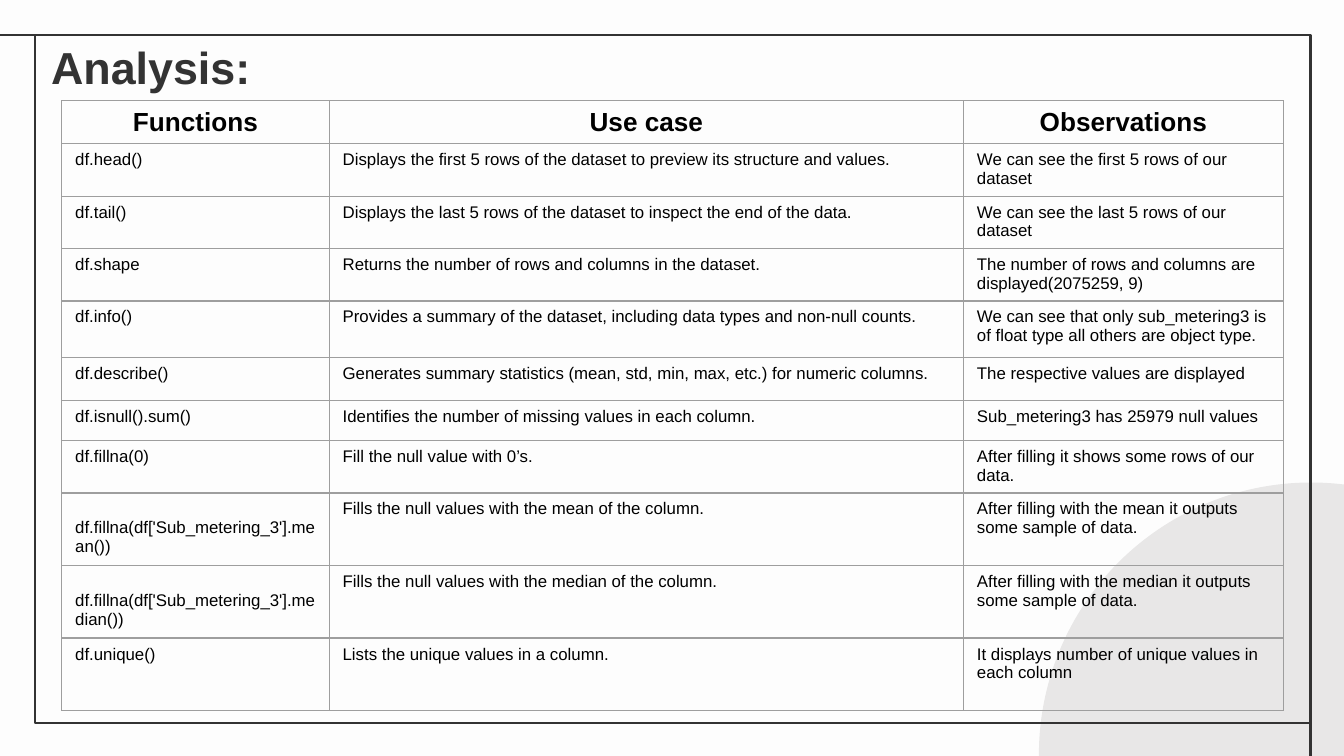
from dataclasses import dataclass

from lxml.etree import SubElement
from pptx import Presentation
from pptx.dml.color import RGBColor
from pptx.enum.shapes import MSO_CONNECTOR, MSO_SHAPE
from pptx.enum.text import MSO_ANCHOR, PP_ALIGN
from pptx.oxml.ns import qn
from pptx.slide import Slide
from pptx.table import _Cell
from pptx.util import Inches, Pt


@dataclass(frozen=True)
class Theme:
    font: str = "Arial"
    background: str = "FDFDFD"
    ink: str = "333333"
    text: str = "000000"
    disc: str = "E8E7E7"
    grid: str = "9E9E9E"
    title_size: float = 24
    header_size: float = 14
    body_size: float = 9
    frame_width: float = 1.5
    grid_width: float = 0.75


@dataclass(frozen=True)
class TableRow:
    function: str
    use_case: str
    observation: str
    height: float = 0.39
    drop: float = 0  # extra space above the function name

    @property
    def texts(self) -> tuple[str, str, str]:
        return self.function, self.use_case, self.observation


THEME = Theme()
SLIDE_W = 10
SLIDE_H = SLIDE_W * 9 / 16
COLUMN_WIDTHS = (1.99, 4.72, 2.38)
TABLE_LEFT, TABLE_TOP = 0.46, 0.75
LINE_HEIGHT = 0.14

ROWS = [
    TableRow("Functions", "Use case", "Observations", 0.32),
    TableRow("df.head()",
             "Displays the first 5 rows of the dataset to preview its structure and values.",
             "We can see the first 5 rows of our dataset"),
    TableRow("df.tail()",
             "Displays the last 5 rows of the dataset to inspect the end of the data.",
             "We can see the last 5 rows of our dataset"),
    TableRow("df.shape",
             "Returns the number of rows and columns in the dataset.",
             "The number of rows and columns are displayed(2075259, 9)"),
    TableRow("df.info()",
             "Provides a summary of the dataset, including data types and non-null counts.",
             "We can see that only sub_metering3 is of float type all others are object type.",
             0.42),
    TableRow("df.describe()",
             "Generates summary statistics (mean, std, min, max, etc.) for numeric columns.",
             "The respective values are displayed", 0.32),
    TableRow("df.isnull().sum()",
             "Identifies the number of missing values in each column.",
             "Sub_metering3 has 25979 null values", 0.3),
    TableRow("df.fillna(0)", "Fill the null value with 0’s.",
             "After filling it shows some rows of our data."),
    TableRow("df.fillna(df['Sub_metering_3'].mean())",
             "Fills the null values with the mean of the column.",
             "After filling with the mean it outputs some sample of data.",
             0.54, LINE_HEIGHT),
    TableRow("df.fillna(df['Sub_metering_3'].median())",
             "Fills the null values with the median of the column.",
             "After filling with the median it outputs some sample of data.",
             0.54, LINE_HEIGHT),
    TableRow("df.unique()", "Lists the unique values in a column.",
             "It displays number of unique values in each column", 0.54),
]


def rgb(value: str) -> RGBColor:
    return RGBColor.from_string(value)


def write(p, text: str, size: float, color: str, bold: bool, align: PP_ALIGN) -> None:
    p.alignment = align
    r = p.add_run()
    r.text = text
    for name, value in {"name": THEME.font, "size": Pt(size), "bold": bold}.items():
        setattr(r.font, name, value)
    r.font.color.rgb = rgb(color)


def style_line(line) -> None:
    line.color.rgb = rgb(THEME.ink)
    line.width = Pt(THEME.frame_width)


def add_disc(slide: Slide, left: float, top: float, size: float) -> None:
    sp = slide.shapes.add_shape(MSO_SHAPE.OVAL, *map(Inches, (left, top, size, size)))
    sp.shadow.inherit = False
    sp.fill.solid()
    sp.fill.fore_color.rgb = rgb(THEME.disc)
    sp.line.fill.background()


def add_frame(slide: Slide, left: float, top: float, width: float, height: float) -> None:
    """Draw the frame, its top edge run on to the left and its right edge down."""
    sp = slide.shapes.add_shape(MSO_SHAPE.RECTANGLE,
                                *map(Inches, (left, top, width, height)))
    sp.shadow.inherit = False
    sp.fill.background()
    style_line(sp.line)
    right, bottom = left + width, top + height
    for ends in ((left, top, 0, top), (right, bottom, right, SLIDE_H)):
        line = slide.shapes.add_connector(MSO_CONNECTOR.STRAIGHT, *map(Inches, ends))
        style_line(line.line)
        SubElement(line._element.spPr, qn("a:effectLst"))


def add_title(slide: Slide, text: str) -> None:
    sp = slide.shapes.title
    for name, value in {"left": 0.28, "top": 0.18, "width": 8.43, "height": 0.63}.items():
        setattr(sp, name, Inches(value))
    tf = sp.text_frame
    for side in ("left", "top", "right", "bottom"):
        setattr(tf, f"margin_{side}", Inches(0.1))
    tf.vertical_anchor = MSO_ANCHOR.MIDDLE
    write(tf.paragraphs[0], text, THEME.title_size, THEME.ink, True, PP_ALIGN.LEFT)


def set_borders(cell: _Cell) -> None:
    tc_pr = cell._tc.get_or_add_tcPr()
    for i, side in enumerate(("lnL", "lnR", "lnT", "lnB")):
        ln = SubElement(tc_pr, qn(f"a:{side}"), w=str(Pt(THEME.grid_width)))
        fill = SubElement(ln, qn("a:solidFill"))
        SubElement(fill, qn("a:srgbClr"), val=THEME.grid)
        tc_pr.insert(i, ln)  # borders come before the fill


def add_analysis_table(slide: Slide, rows: list[TableRow]) -> None:
    height = sum(row.height for row in rows)
    table = slide.shapes.add_table(
        len(rows), len(COLUMN_WIDTHS),
        *map(Inches, (TABLE_LEFT, TABLE_TOP, sum(COLUMN_WIDTHS), height))).table
    table.first_row = table.horz_banding = False
    for column, width in zip(table.columns, COLUMN_WIDTHS):
        column.width = Inches(width)
    for i, row in enumerate(rows):
        table.rows[i].height = Inches(row.height)
        header = i == 0
        size = THEME.header_size if header else THEME.body_size
        align = PP_ALIGN.CENTER if header else PP_ALIGN.LEFT
        for j, text in enumerate(row.texts):
            cell = table.cell(i, j)
            cell.fill.background()
            set_borders(cell)
            if j == 0:
                cell.margin_top = Inches(0.05 + row.drop)
            write(cell.text_frame.paragraphs[0], text, size, THEME.text, header, align)


def main() -> None:
    prs = Presentation()
    prs.slide_width, prs.slide_height = Inches(SLIDE_W), Inches(SLIDE_H)
    slide = prs.slides.add_slide(prs.slide_layouts.get_by_name("Title Only"))
    slide.background.fill.solid()
    slide.background.fill.fore_color.rgb = rgb(THEME.background)
    add_disc(slide, 7.73, 3.59, 4.05)
    add_frame(slide, 0.26, 0.26, 9.49, 5.12)
    add_title(slide, "Analysis:")
    add_analysis_table(slide, ROWS)
    prs.save("out.pptx")


if __name__ == "__main__":
    main()
